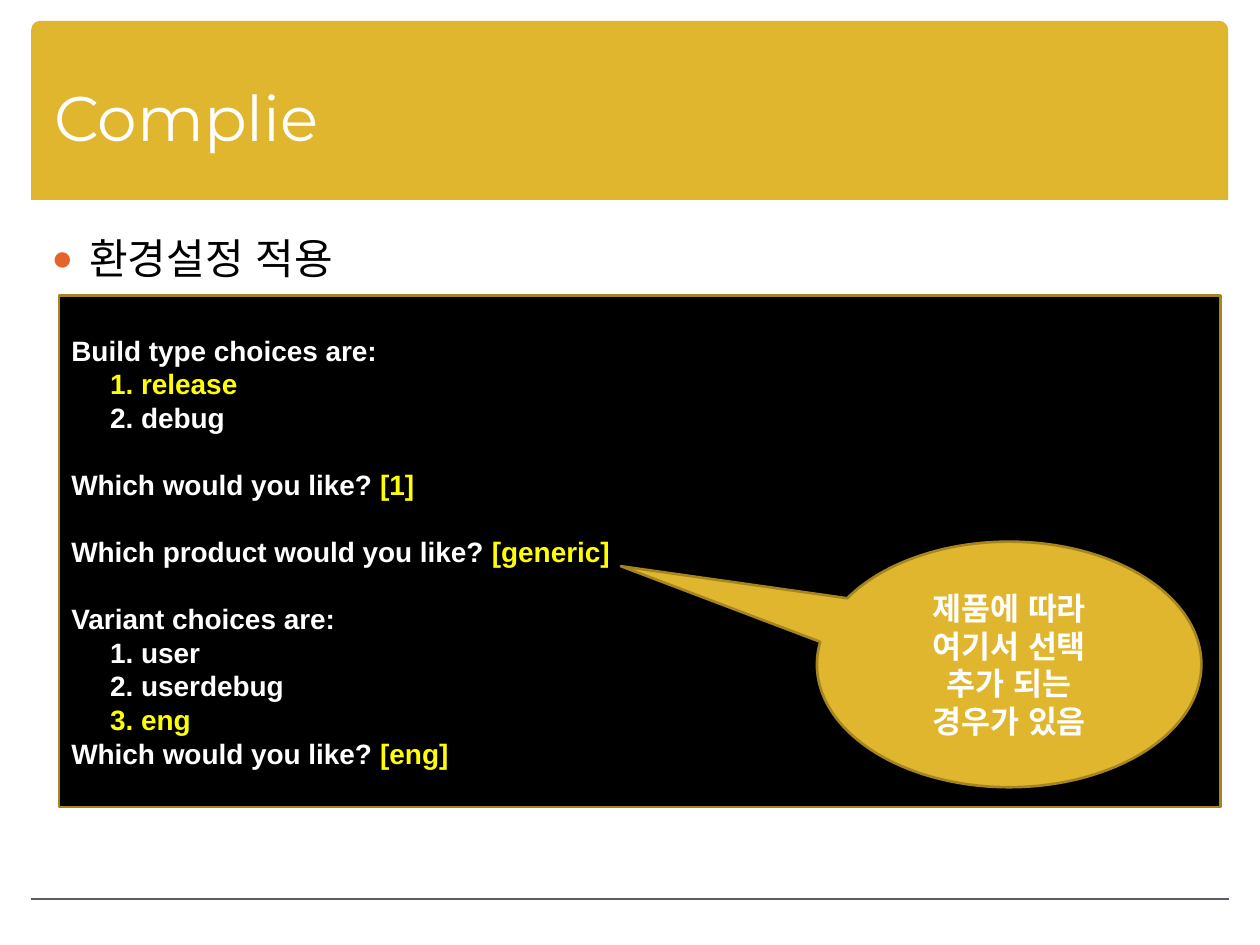
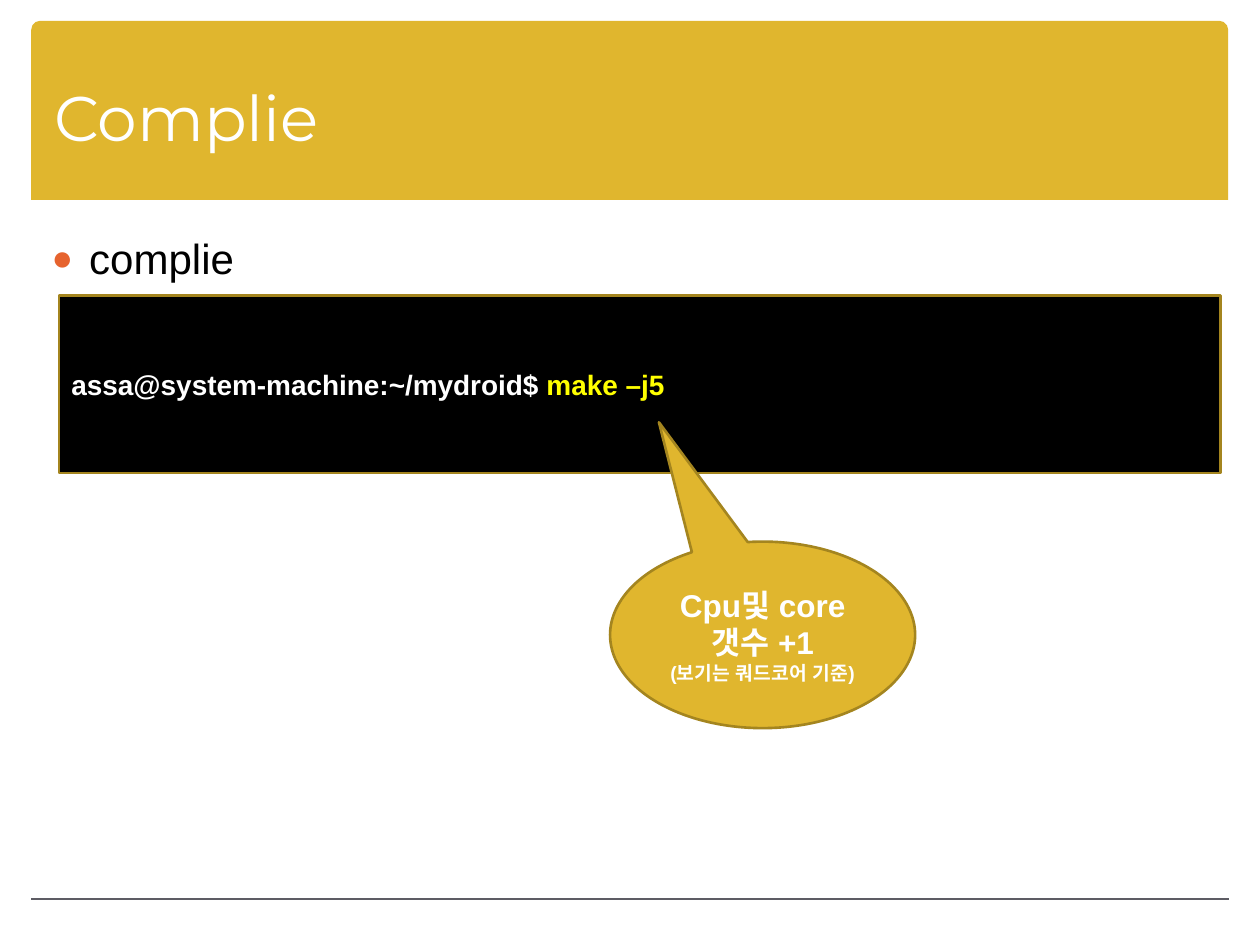
from pptx import Presentation
from pptx.dml.color import RGBColor
from pptx.enum.shapes import MSO_CONNECTOR, MSO_SHAPE
from pptx.enum.text import MSO_ANCHOR, PP_ALIGN
from pptx.oxml.ns import qn
from pptx.util import Cm, Pt
from lxml.etree import SubElement

GOLD = "E0B62E"
DARK_GOLD = "A4851F"
WHITE = "FFFFFF"
BLACK = "000000"
YELLOW = "FFFF00"
ORANGE = "E6632E"
GREY = "5D5C64"
TEXT_FONT = "Arial"
TITLE_FONT = "Montserrat"
CODE_INDENT = Cm(0.78)
CODE_GAP = Pt(19.2)


def color(hex_string):
    return RGBColor.from_string(hex_string)


def set_font(font, size, hex_string, name=TEXT_FONT, bold=False):
    font.name = name
    font.size = Pt(size)
    font.bold = bold
    font.color.rgb = color(hex_string)
    SubElement(font._element, qn("a:ea"), typeface=name)


def add_filled_shape(slide, kind, box, fill, line=None):
    shape = slide.shapes.add_shape(kind, *map(Cm, box))
    shape.shadow.inherit = False
    shape.fill.solid()
    shape.fill.fore_color.rgb = color(fill)
    if line:
        shape.line.color.rgb = color(line)
        shape.line.width = Pt(1.5)
    else:
        shape.line.fill.background()
    shape.text_frame.word_wrap = True
    shape.text_frame.vertical_anchor = MSO_ANCHOR.MIDDLE
    return shape


def add_text(slide, box, text, anchor):
    text_box = slide.shapes.add_textbox(*map(Cm, box))
    text_box.text_frame.word_wrap = True
    text_box.text_frame.vertical_anchor = anchor
    paragraph = text_box.text_frame.paragraphs[0]
    paragraph.text = text
    return paragraph


def add_frame(slide, title):
    band = add_filled_shape(slide, MSO_SHAPE.ROUND_2_SAME_RECTANGLE,
                            (0.63, 0.42, 24.13, 3.61), GOLD)
    band.adjustments[0] = 0.05
    rule = slide.shapes.add_connector(MSO_CONNECTOR.STRAIGHT,
                                      Cm(0.63), Cm(18.13), Cm(24.77), Cm(18.13))
    rule.line.color.rgb = color(GREY)
    rule.line.width = Pt(1)
    SubElement(rule._element.spPr, qn("a:effectLst"))
    paragraph = add_text(slide, (0.84, 0.76, 23.7, 3.18), title, MSO_ANCHOR.MIDDLE)
    set_font(paragraph.font, 36, WHITE, TITLE_FONT)


def add_bullet(slide, text):
    paragraph = add_text(slide, (0.79, 4.57, 23.7, 13.34), text, MSO_ANCHOR.TOP)
    paragraph.space_before = Pt(6)
    set_font(paragraph.font, 24, BLACK)
    properties = paragraph._p.get_or_add_pPr()
    properties.set("marL", str(Cm(0.76)))
    properties.set("indent", str(-Cm(0.76)))
    bullet_color = SubElement(properties, qn("a:buClr"))
    SubElement(bullet_color, qn("a:srgbClr"), val=ORANGE)
    SubElement(properties, qn("a:buSzPct"), val="85000")
    SubElement(properties, qn("a:buFont"), typeface=TEXT_FONT)
    SubElement(properties, qn("a:buChar"), char="●")
    properties.append(properties.find(qn("a:defRPr")))


def add_terminal(slide, height, lines):
    terminal = add_filled_shape(slide, MSO_SHAPE.RECTANGLE,
                                (1.19, 5.96, 23.42, height), BLACK, DARK_GOLD)
    frame = terminal.text_frame
    for index, (plain, highlight, indented, gap) in enumerate(lines):
        paragraph = frame.add_paragraph() if index else frame.paragraphs[0]
        paragraph.alignment = PP_ALIGN.LEFT
        if indented:
            paragraph._p.get_or_add_pPr().set("marL", str(CODE_INDENT))
        if gap:
            paragraph.space_before = CODE_GAP
        for text, hex_string in ((plain, WHITE), (highlight, YELLOW)):
            if text:
                run = paragraph.add_run()
                run.text = text
                set_font(run.font, 16, hex_string, bold=True)


def add_callout(slide, box, pointer, texts):
    callout = add_filled_shape(slide, MSO_SHAPE.OVAL_CALLOUT, box, GOLD, DARK_GOLD)
    for index, offset in enumerate(pointer):
        callout.adjustments[index] = offset
    frame = callout.text_frame
    frame.margin_left = frame.margin_right = Cm(0.29)
    for index, (text, size) in enumerate(texts):
        paragraph = frame.add_paragraph() if index else frame.paragraphs[0]
        paragraph.text = text
        paragraph.alignment = PP_ALIGN.CENTER
        set_font(paragraph.font, size, WHITE, bold=True)


def add_slide(presentation, title, bullet):
    slide = presentation.slides.add_slide(presentation.slide_layouts[6])
    add_frame(slide, title)
    add_bullet(slide, bullet)
    return slide


def main():
    presentation = Presentation()
    presentation.slide_width = Cm(25.4)
    presentation.slide_height = Cm(19.05)

    settings = add_slide(presentation, "Complie", "환경설정 적용")
    add_terminal(settings, 10.31, [
        ("Build type choices are:", "", False, False),
        ("", "1. release", True, False),
        ("2. debug", "", True, False),
        ("Which would you like?", " [1]", False, True),
        ("Which product would you like? ", "[generic]", False, True),
        ("Variant choices are:", "", False, True),
        ("1. user", "", True, False),
        ("2. userdebug", "", True, False),
        ("", "3. eng", True, False),
        ("Which would you like? ", "[eng]", False, False),
    ])
    add_callout(settings, (16.47, 10.92, 7.75, 4.95), (-1.01, -0.4),
                [("제품에 따라\v여기서 선택\v추가 되는\v경우가 있음", 18)])

    compiling = add_slide(presentation, "Complie", "complie")
    add_terminal(compiling, 3.58, [
        ("assa@system-machine:~/mydroid$ ", "make –j5", False, False),
    ])
    add_callout(compiling, (12.3, 10.92, 6.15, 3.76), (-0.34, -1.14),
                [("Cpu및 core갯수 +1", 18), ("(보기는 쿼드코어 기준)", 11)])

    presentation.save("out.pptx")


if __name__ == "__main__":
    main()
